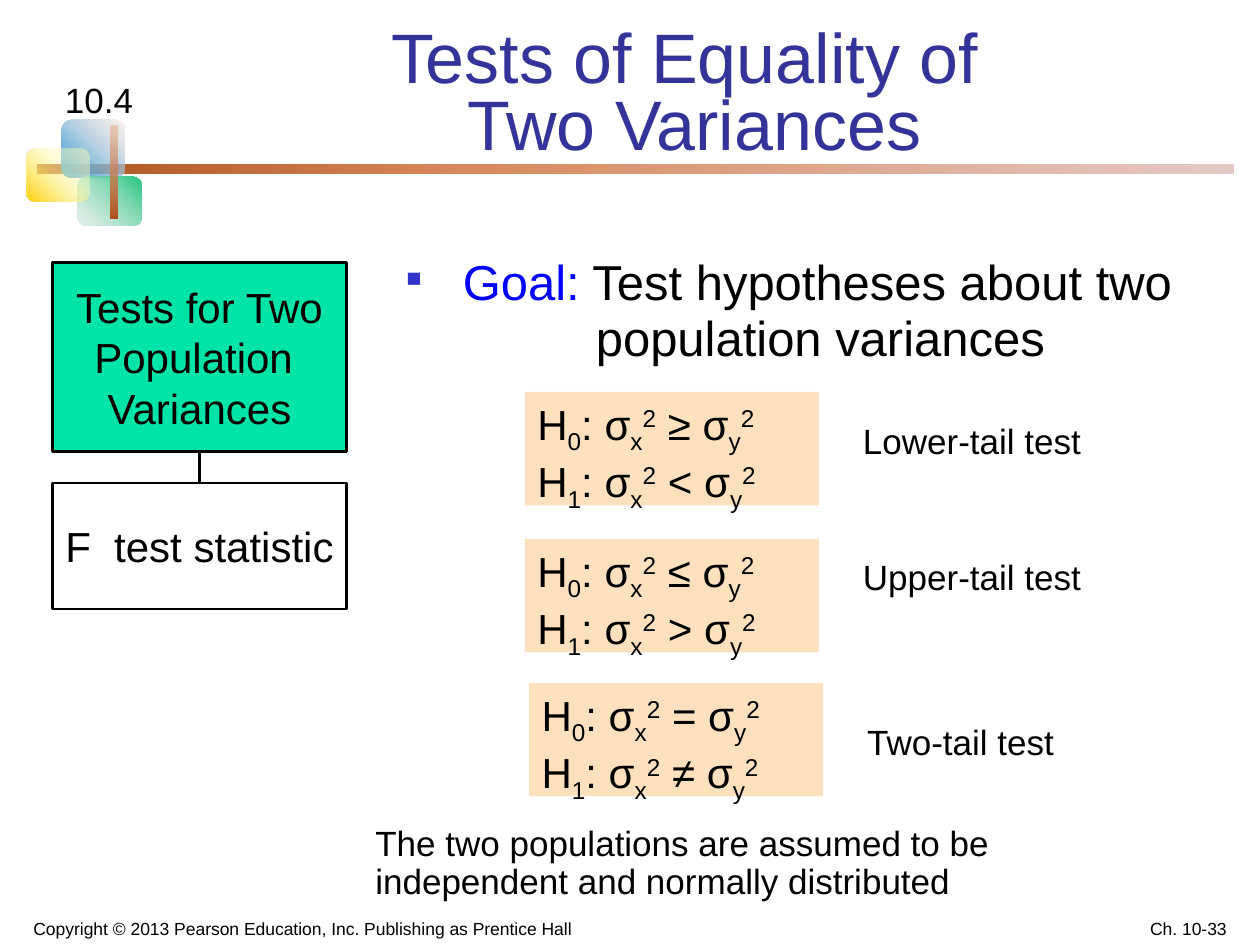
from dataclasses import dataclass

import pptx
import pptx.dml.color
import pptx.enum.shapes
import pptx.enum.text
import pptx.oxml
import pptx.oxml.ns
import pptx.util

Pt = pptx.util.Pt
RGBColor = pptx.dml.color.RGBColor
Shapes = pptx.enum.shapes.MSO_SHAPE
Align = pptx.enum.text.PP_ALIGN
Anchor = pptx.enum.text.MSO_ANCHOR

BLACK = RGBColor(0x00, 0x00, 0x00)
TITLE_BLUE = RGBColor(0x33, 0x33, 0x99)
GOAL_BLUE = RGBColor(0x00, 0x00, 0xFF)
BULLET_BLUE = RGBColor(0x33, 0x33, 0xCC)
GREEN = RGBColor(0x00, 0xE4, 0xA8)
PEACH = RGBColor(0xFD, 0xE0, 0xBD)
FONT = "Arial"
SUBSCRIPT, SUPERSCRIPT = -25, 30


@dataclass(frozen=True)
class Box:
    left: float
    top: float
    width: float
    height: float

    def lengths(self):
        return Pt(self.left), Pt(self.top), Pt(self.width), Pt(self.height)


@dataclass(frozen=True)
class Stop:
    position: int
    color: RGBColor
    opacity: int = 100


@dataclass(frozen=True)
class Ornament:
    box: Box
    angle: int
    stops: tuple[Stop, ...]
    rounding: float = 0.17


@dataclass(frozen=True)
class Label:
    box: Box
    text: str
    size: float
    color: RGBColor = BLACK
    align: Align = Align.LEFT
    anchor: Anchor = Anchor.TOP
    spacing: float = 1.0


@dataclass(frozen=True)
class Hypotheses:
    left: float
    top: float
    null_relation: str
    alternative_relation: str
    label_top: float
    label: str


ORNAMENTS = (
    Ornament(Box(21, 93.6, 684, 6), 0, (
        Stop(0, RGBColor(0xAE, 0x51, 0x1E)), Stop(37, RGBColor(0xD8, 0x8A, 0x5E)),
        Stop(100, RGBColor(0xE4, 0xC9, 0xC6))), 0),
    Ornament(Box(35, 68.4, 36, 33), 315, (
        Stop(0, RGBColor(0x28, 0x95, 0xD8)), Stop(100, RGBColor(0xF7, 0xE2, 0xD9), 50))),
    Ornament(Box(44.6, 100.8, 36, 28), 135, (
        Stop(0, RGBColor(0x25, 0xC5, 0x80)), Stop(100, RGBColor(0xCC, 0xE2, 0xD9), 50))),
    Ornament(Box(15, 85, 36, 30), 315, (
        Stop(0, RGBColor(0xFF, 0xCF, 0x01)), Stop(63, RGBColor(0xFC, 0xFC, 0xBC), 50))),
    Ornament(Box(63, 72, 4, 53), 270, (
        Stop(0, RGBColor(0xAE, 0x51, 0x1E)), Stop(100, RGBColor(0xEA, 0xA7, 0x82), 50)), 0),
)

LABELS = (
    Label(Box(90, 37.4, 613.4, 60), "Tests of Equality of \vTwo Variances", 40,
          TITLE_BLUE, Align.CENTER, Anchor.BOTTOM, 0.8),
    Label(Box(0, 515, 345.6, 25),
          "Copyright © 2013 Pearson Education, Inc. Publishing as Prentice Hall", 10,
          align=Align.CENTER, anchor=Anchor.BOTTOM, spacing=1.05),
    Label(Box(540, 515, 168, 25), "Ch. 10-33", 10,
          align=Align.RIGHT, anchor=Anchor.BOTTOM, spacing=1.05),
    Label(Box(26.6, 40.3, 60, 31), "10.4", 20, align=Align.CENTER, spacing=1.05),
    Label(Box(207.4, 468.7, 371.5, 50.4),
          "The two populations are assumed to be independent and normally distributed",
          20, spacing=0.9),
)

HYPOTHESES = (
    Hypotheses(300, 224, "≥", "<", 236, "Lower-tail test"),
    Hypotheses(300, 308, "≤", ">", 314, "Upper-tail test"),
    Hypotheses(302.4, 390.4, "=", "≠", 408.2, "Two-tail test"),
)


def add_run(paragraph, text: str, size: float, color: RGBColor = BLACK, baseline: int = 0):
    run = paragraph.add_run()
    run.text = text
    run.font.name = FONT
    run.font.size = Pt(size)
    run.font.color.rgb = color
    if baseline:
        run.font._element.set("baseline", str(baseline * 1000))


def add_paragraphs(frame, count: int) -> list:
    return [frame.paragraphs[0]] + [frame.add_paragraph() for _ in range(count - 1)]


def add_text_box(slide, box: Box):
    frame = slide.shapes.add_textbox(*box.lengths()).text_frame
    frame.word_wrap = True
    return frame


def add_label(slide, label: Label):
    frame = add_text_box(slide, label.box)
    frame.vertical_anchor = label.anchor
    paragraph = frame.paragraphs[0]
    paragraph.alignment = label.align
    paragraph.line_spacing = label.spacing
    for index, line in enumerate(label.text.split("\v")):
        if index:
            paragraph.add_line_break()
        add_run(paragraph, line, label.size, label.color)


def add_ornament(slide, ornament: Ornament):
    shape = slide.shapes.add_shape(Shapes.ROUNDED_RECTANGLE, *ornament.box.lengths())
    shape.shadow.inherit = False
    shape.adjustments[0] = ornament.rounding
    shape.line.fill.background()
    stops = "".join(
        f'<a:gs pos="{stop.position * 1000}"><a:srgbClr val="{stop.color}">'
        f'<a:alpha val="{stop.opacity * 1000}"/></a:srgbClr></a:gs>'
        for stop in ornament.stops)
    gradient = pptx.oxml.parse_xml(
        f'<a:gradFill {pptx.oxml.ns.nsdecls("a")} rotWithShape="1"><a:gsLst>{stops}</a:gsLst>'
        f'<a:lin ang="{ornament.angle * 60000}" scaled="0"/></a:gradFill>')
    shape._element.spPr.find(pptx.oxml.ns.qn("a:prstGeom")).addnext(gradient)


def add_rectangle(slide, box: Box, fill: RGBColor | None, outlined: bool):
    shape = slide.shapes.add_shape(Shapes.RECTANGLE, *box.lengths())
    shape.shadow.inherit = False
    if fill is None:
        shape.fill.background()
    else:
        shape.fill.solid()
        shape.fill.fore_color.rgb = fill
    if outlined:
        shape.line.color.rgb = BLACK
        shape.line.width = Pt(1.5)
    else:
        shape.line.fill.background()
    return shape


def add_tree_box(slide, box: Box, fill: RGBColor | None, lines: tuple[str, ...]):
    shape = add_rectangle(slide, box, fill, True)
    frame = shape.text_frame
    frame.word_wrap = False
    frame.vertical_anchor = Anchor.MIDDLE
    for paragraph, line in zip(add_paragraphs(frame, len(lines)), lines):
        paragraph.alignment = Align.CENTER
        add_run(paragraph, line, 24)
    return shape


def add_test_tree(slide):
    tests = add_tree_box(slide, Box(30, 150, 168, 108), GREEN,
                         ("Tests for Two", "Population ", "Variances"))
    statistic = add_tree_box(slide, Box(30, 276, 168, 72), None, ("F  test statistic",))
    connector = slide.shapes.add_connector(
        pptx.enum.shapes.MSO_CONNECTOR.STRAIGHT, Pt(114), Pt(276), Pt(114), Pt(258))
    connector.begin_connect(statistic, 0)
    connector.end_connect(tests, 2)
    connector.line.color.rgb = BLACK
    connector.line.width = Pt(1.5)
    connector._element.spPr.append(
        pptx.oxml.parse_xml(f'<a:effectLst {pptx.oxml.ns.nsdecls("a")}/>'))


def add_hypotheses(slide, test: Hypotheses):
    shape = add_rectangle(slide, Box(test.left, test.top, 168, 64.8), PEACH, False)
    frame = shape.text_frame
    frame.vertical_anchor = Anchor.TOP
    relations = (test.null_relation, test.alternative_relation)
    for index, paragraph in enumerate(add_paragraphs(frame, 2)):
        paragraph.alignment = Align.LEFT
        for text, baseline in (
                ("H", 0), (str(index), SUBSCRIPT), (": σ", 0), ("x", SUBSCRIPT),
                ("2", SUPERSCRIPT), (f" {relations[index]} σ", 0),
                ("y", SUBSCRIPT), ("2", SUPERSCRIPT)):
            add_run(paragraph, text, 24, BLACK, baseline)
    add_label(slide, Label(Box(test.left + 186, test.label_top, 144, 31), test.label, 20))


def add_goal(slide):
    goal, continuation = add_paragraphs(add_text_box(slide, Box(224.6, 155, 480, 57.6)), 2)
    for paragraph, margin, indent in ((goal, 32.8, -32.8), (continuation, 108.8, 0)):
        properties = paragraph._p.get_or_add_pPr()
        properties.set("marL", str(Pt(margin)))
        properties.set("indent", str(Pt(indent)))
        paragraph.line_spacing = 0.5
    namespace = pptx.oxml.ns.nsdecls("a")
    for markup in (f'<a:buClr {namespace}><a:srgbClr val="{BULLET_BLUE}"/></a:buClr>',
                   f'<a:buFont {namespace} typeface="{FONT}"/>',
                   f'<a:buChar {namespace} char="▪"/>'):
        goal._p.get_or_add_pPr().append(pptx.oxml.parse_xml(markup))
    continuation.space_before = Pt(14.7)
    add_run(goal, "Goal:", 28, GOAL_BLUE)
    add_run(goal, " Test hypotheses about two", 28)
    add_run(continuation, "population variances", 28)


def main():
    presentation = pptx.Presentation()
    presentation.slide_width, presentation.slide_height = Pt(720), Pt(540)
    slide = presentation.slides.add_slide(presentation.slide_layouts[6])
    for ornament in ORNAMENTS:
        add_ornament(slide, ornament)
    for label in LABELS:
        add_label(slide, label)
    add_test_tree(slide)
    add_goal(slide)
    for test in HYPOTHESES:
        add_hypotheses(slide, test)
    presentation.save("out.pptx")


if __name__ == "__main__":
    main()
